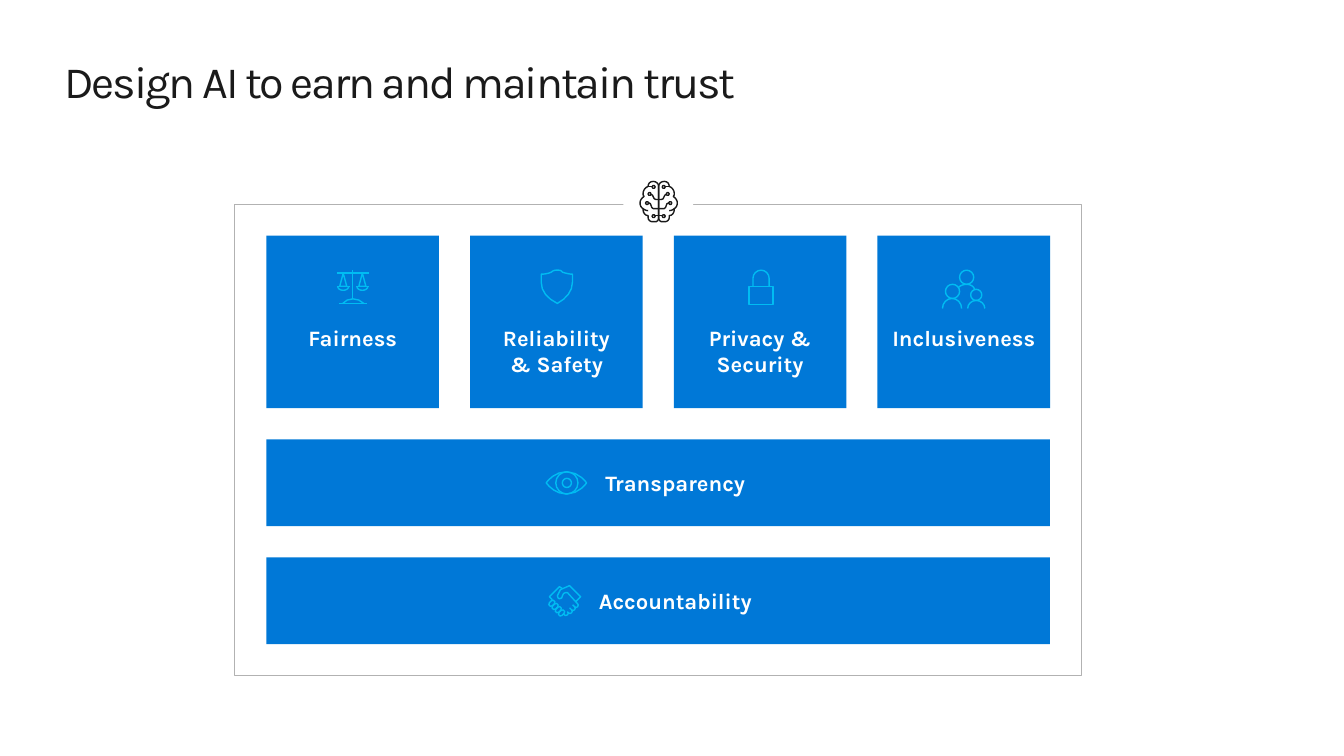
from dataclasses import dataclass
from math import ceil, cos, dist, radians, sin

from pptx import Presentation
from pptx import util as u
from pptx.dml import color
from pptx.enum import shapes, text

Point = tuple[float, float]
Stroke = list[Point]

COLOURS = {"ink": "1A1A1A", "card": "0078D7", "icon": "00BCF2",
           "frame": "B2B2B2", "white": "FFFFFF"}
FONT = "Karla"
GRID = 0.72  # points per step of an icon's drawing grid


@dataclass
class Panel:
    lines: list[str]
    left: float
    top: float
    width: float
    height: float
    insets: tuple[float, float, float, float]
    anchor: text.MSO_ANCHOR


@dataclass
class Icon:
    left: float
    top: float
    strokes: list[Stroke]
    colour: str = "icon"


def rgb(name: str) -> color.RGBColor:
    return color.RGBColor.from_string(COLOURS[name])


# Stroke geometry: small curves get few segments
def arc(x: float, y: float, rx: float, ry: float,
        start: float = 0, end: float = 360) -> Stroke:
    full_turn = 6 if rx < 3 else 16
    count = ceil(full_turn * (end - start) / 360)
    angles = [radians(start + (end - start) * i / count) for i in range(count + 1)]
    return [(x + rx * cos(a), y + ry * sin(a)) for a in angles]


def circle(x: float, y: float, radius: float) -> Stroke:
    return arc(x, y, radius, radius)


def trace(*steps: tuple[float, ...]) -> Stroke:
    """Join points (x, y) and cubic curves (x1, y1, x2, y2, x, y)."""
    points: Stroke = []
    for step in steps:
        if len(step) == 2:
            points.append(step)
            continue
        x0, y0 = points[-1]
        x1, y1, x2, y2, x3, y3 = step
        count = 2 if dist((x0, y0), (x3, y3)) < 5 else 4
        for i in range(1, count + 1):
            t = i / count
            a, b, c, d = (1 - t) ** 3, 3 * t * (1 - t) ** 2, 3 * t * t * (1 - t), t ** 3
            points.append((a * x0 + b * x1 + c * x2 + d * x3,
                           a * y0 + b * y1 + c * y2 + d * y3))
    return points


def finger(shift: float) -> Stroke:
    outline = (arc(2.5 + shift, 18.5 + shift, 2.1, 2.1, 45, 225)
               + arc(4.5 + shift, 16.5 + shift, 2.1, 2.1, 225, 405))
    return outline + outline[:1]


def mirrored(strokes: list[Stroke], width: float) -> list[Stroke]:
    return strokes + [[(width - x, y) for x, y in stroke] for stroke in strokes]


# Icon drawings
SCALES = [
    trace((0, 3), (32, 3)), trace((16, 0), (16, 29)), trace((2, 33), (30, 33)),
    trace((27, 33), (21, 27, 11, 27, 6, 33)),
    *mirrored([
        trace((0, 16), (13, 16)),
        arc(6.5, 16, 5.5, 4, 0, 180),
        trace((6.5, 3), (3, 16), (10, 16), (6.5, 3)),
    ], 32),
]
SHIELD = [trace(
    (31, 12), (31, 21, 25, 28, 16, 33), (6, 28, 0, 21, 0, 12), (0, 4),
    (4, 4, 8, 3, 10, 2), (12, 0, 14, 0, 16, 0), (18, 0, 20, 0, 21, 2),
    (24, 3, 28, 4, 31, 4), (31, 12))]
PADLOCK = [
    trace((0, 16), (24, 16), (24, 34), (0, 34), (0, 16)),
    [(4, 16), *arc(12, 8, 8, 8, 180, 360), (20, 16)],
]
PEOPLE = [
    circle(10, 21, 7), circle(24, 7, 7), circle(33.5, 24.5, 5.5),
    arc(9.5, 38, 9.5, 10, 180, 360), arc(33.5, 38, 8.5, 8, 180, 360),
    trace((32, 19), (31, 16, 28, 14, 24, 14), (21, 14, 18, 15, 16, 17)),
]
EYE = [
    trace((0, 11), (2, 8, 9, 0, 20, 0), (33, 0, 40, 11, 40, 11),
          (40, 11, 33, 22, 20, 22), (10, 22, 3, 15, 0, 11)),
    circle(20.5, 11, 11), circle(20.5, 11, 4.5),
]
HANDSHAKE = [
    trace((4, 14), (1, 11), (11, 1), (14, 3)),
    *[finger(3.2 * i) for i in range(4)],
    trace((15, 28), (16, 29), (16, 30, 18, 30, 19, 29), (20, 28, 20, 27, 19, 26),
          (20, 27), (21, 28, 22, 28, 23, 27), (24, 26, 24, 25, 23, 24), (21, 22)),
    trace((23, 24), (24, 25, 25, 25, 26, 24), (27, 23, 27, 22, 26, 21), (24, 19)),
    trace((27, 16), (32, 11), (21, 0), (12, 4), (9, 10), (9, 12, 10, 13, 11, 13),
          (13, 13, 14, 12, 14, 10), (14, 8, 16, 7, 17, 7), (19, 7),
          (29, 18), (30, 18, 30, 20, 29, 21), (28, 22, 27, 22, 26, 21)),
]
BRAIN = mirrored([
    trace((8, 34), (5, 34, 3, 31, 3, 28), (3, 27), (1, 26, 0, 24, 0, 21),
          (0, 19, 2, 16, 4, 15), (3, 14, 3, 13, 3, 12), (3, 9, 5, 6, 8, 5),
          (8, 2, 10, 0, 13, 0), (16, 0, 18.5, 2, 18.5, 5), (18.5, 37),
          (18.5, 38, 17, 40, 16, 40), (12, 40), (10, 40, 8, 38, 8, 36), (8, 34)),
    trace((8, 21), (10, 21, 11, 23, 11, 24), (11, 25, 12, 27, 13, 27), (18.5, 27)),
    trace((11, 13), (12, 13, 13, 14, 13, 15), (13, 17, 15, 18, 16, 18), (18.5, 18)),
    trace((3, 27), (4, 28, 6, 29, 8, 29)),
    trace((8, 5), (12, 5)), trace((15, 34), (18.5, 34)),
    *[circle(x, y, 1.5) for x, y in [(13.5, 34.5), (13.5, 5.5), (9.5, 12.5), (7, 21.5)]],
], 37)

# Panels and icon places
CARD_LABELS = [["Fairness"], ["Reliability", "& Safety"],
               ["Privacy & Security"], ["Inclusiveness"]]
PANELS = [
    Panel(lines, 190.3 + 145.5 * i, 168.3, 123.3, 123.3, (10, 63.4, 10, 10.8),
          text.MSO_ANCHOR.TOP)
    for i, lines in enumerate(CARD_LABELS)
] + [
    Panel([label], 190.3, 313.9 + 84.3 * i, 559.6, 62, (35.3, 10.8, 10.8, 10.8),
          text.MSO_ANCHOR.MIDDLE)
    for i, label in enumerate(["Transparency", "Accountability"])
]
ICONS = [
    Icon(240.5, 193, SCALES), Icon(386.6, 193, SHIELD), Icon(535, 193, PADLOCK),
    Icon(673.2, 193, PEOPLE), Icon(390.2, 337, EYE), Icon(391.7, 418.3, HANDSHAKE),
    Icon(457.2, 129.6, BRAIN, "ink"),
]


# Drawing
def add_preset(page, kind: shapes.MSO_SHAPE, left: float, top: float,
               width: float, height: float, fill: str = "", line: str = ""):
    box = page.shapes.add_shape(kind, *map(u.Pt, (left, top, width, height)))
    box.shadow.inherit = False
    if fill:
        box.fill.solid()
        box.fill.fore_color.rgb = rgb(fill)
    else:
        box.fill.background()
    if line:
        box.line.color.rgb = rgb(line)
        box.line.width = u.Pt(0.75)
    else:
        box.line.fill.background()
    return box


def write(box, lines: list[str], size: float, colour: str, bold: bool,
          align: text.PP_ALIGN, anchor: text.MSO_ANCHOR,
          insets: tuple[float, float, float, float], spacing: float = 1) -> None:
    frame = box.text_frame
    left, top, right, bottom = map(u.Pt, insets)
    frame_format = {"word_wrap": True, "vertical_anchor": anchor, "margin_left": left,
                    "margin_top": top, "margin_right": right, "margin_bottom": bottom}
    font_format = {"name": FONT, "size": u.Pt(size), "bold": bold}
    for name, value in frame_format.items():
        setattr(frame, name, value)
    for i, line in enumerate(lines):
        para = frame.add_paragraph() if i else frame.paragraphs[0]
        para.alignment, para.line_spacing = align, spacing
        span = para.add_run()
        span.text = line
        for name, value in font_format.items():
            setattr(span.font, name, value)
        span.font.color.rgb = rgb(colour)


def draw_panel(page, panel: Panel) -> None:
    box = add_preset(page, shapes.MSO_SHAPE.RECTANGLE, panel.left, panel.top,
                     panel.width, panel.height, fill="card")
    write(box, panel.lines, 15.7, "white", True, text.PP_ALIGN.CENTER,
          panel.anchor, panel.insets)


def draw_icon(page, icon: Icon) -> None:
    strokes = [[(u.Pt(icon.left + GRID * x), u.Pt(icon.top + GRID * y)) for x, y in stroke]
               for stroke in icon.strokes]
    builder = page.shapes.build_freeform(*strokes[0][0])
    for i, (start, *rest) in enumerate(strokes):
        if i:
            builder.move_to(*start)
        builder.add_line_segments(rest, close=False)
    outline = builder.convert_to_shape()
    outline.shadow.inherit = False
    outline.fill.background()
    outline.line.color.rgb = rgb(icon.colour)
    outline.line.width = u.Pt(1)


def main() -> None:
    deck = Presentation()
    deck.slide_width, deck.slide_height = u.Pt(960), u.Pt(540)
    page = deck.slides.add_slide(deck.slide_layouts[6])

    # Title
    title = page.shapes.add_textbox(*map(u.Pt, (46.1, 41, 868.3, 41.8)))
    write(title, ["Design AI to earn and maintain trust"], 32, "ink", False,
          text.PP_ALIGN.LEFT, text.MSO_ANCHOR.TOP, (0, 0, 0, 0), 0.95)
    title.text_frame.paragraphs[0].runs[0].font._element.set("spc", "-150")

    # Frame with a gap for the brain
    add_preset(page, shapes.MSO_SHAPE.RECTANGLE, 167.8, 145.8, 604.8, 336.7, line="frame")
    add_preset(page, shapes.MSO_SHAPE.OVAL, 445, 117.4, 50.4, 50.4, fill="white")

    # Principles
    for panel in PANELS:
        draw_panel(page, panel)
    for icon in ICONS:
        draw_icon(page, icon)
    deck.save("out.pptx")


if __name__ == "__main__":
    main()
